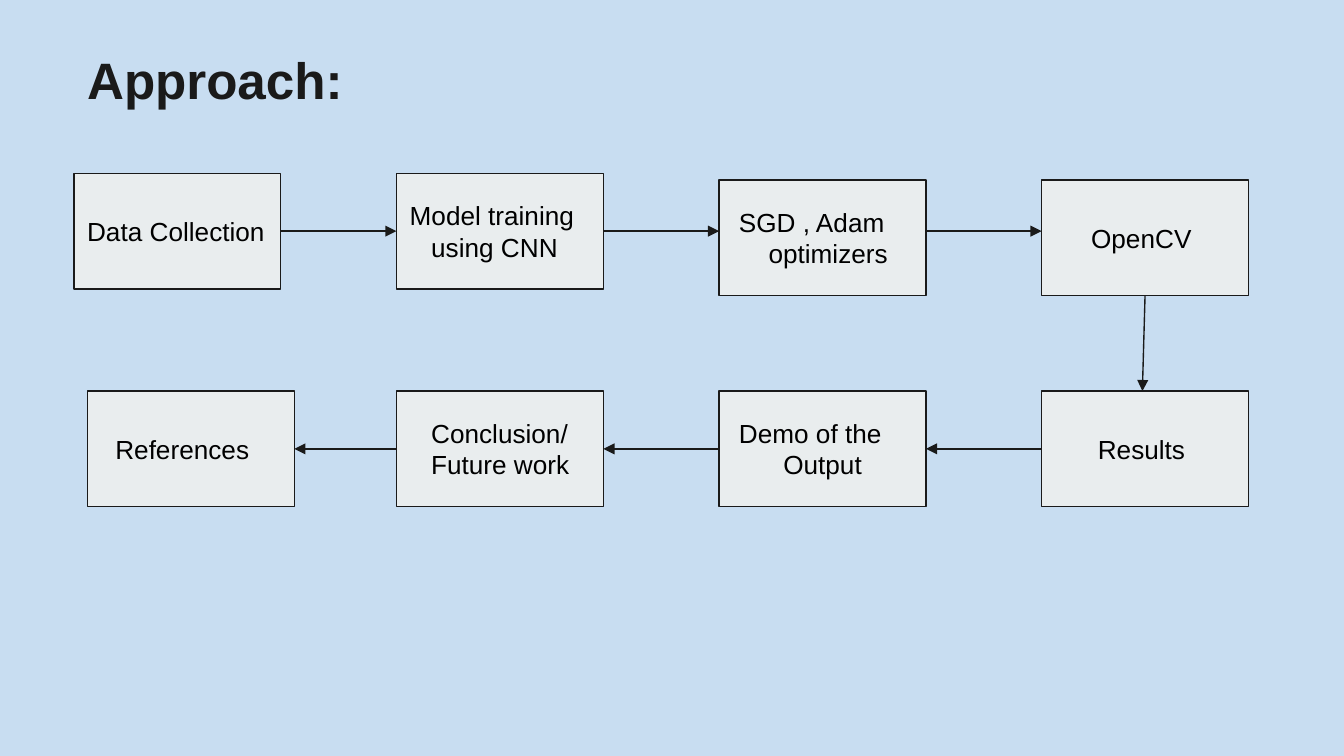
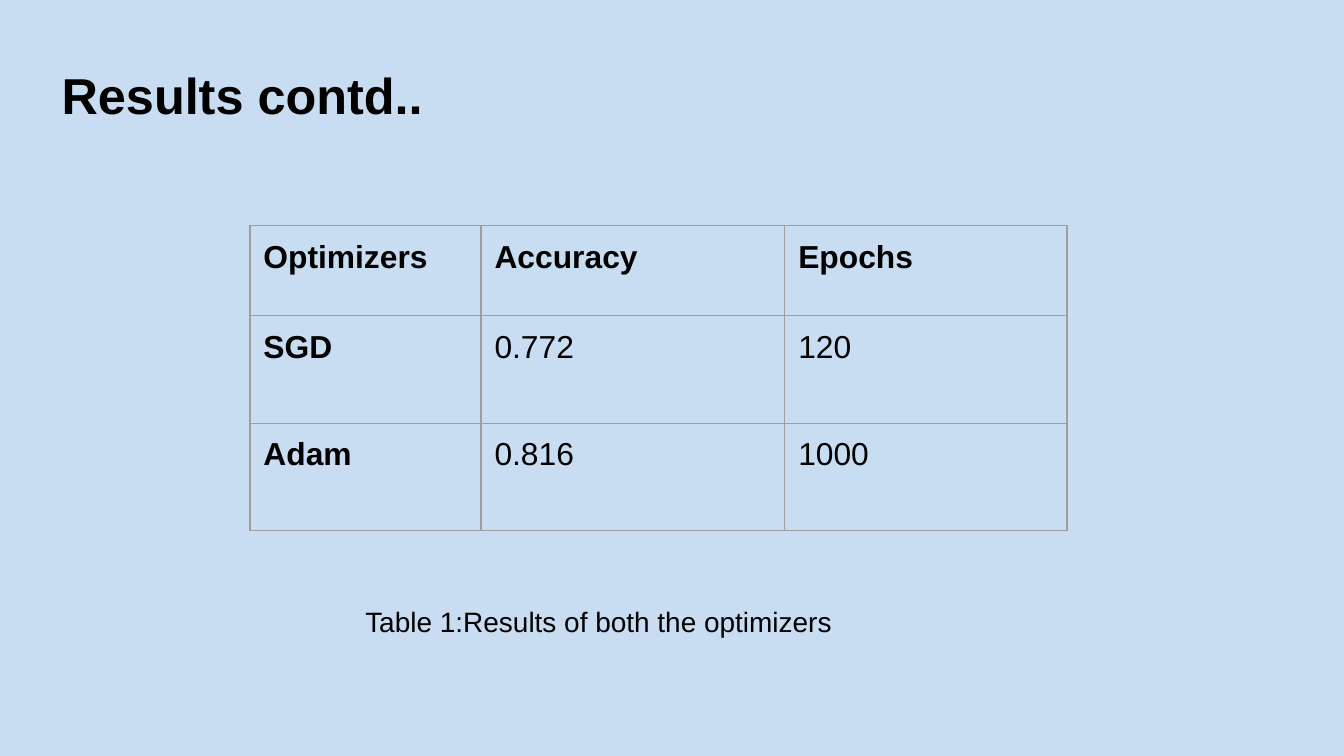
"""Build the approach flow chart and the optimizer results table."""
from dataclasses import dataclass

from lxml import etree
from pptx import Presentation
from pptx.dml.color import RGBColor
from pptx.enum import shapes, text
from pptx.oxml import ns
from pptx.util import Inches, Pt


@dataclass(frozen=True)
class Theme:
    font: str = "Arial"
    background: str = "C8DDF1"
    box: str = "E9EDEE"
    ink: str = "1A1A1A"
    black: str = "000000"
    border: str = "9E9E9E"
    line: float = 0.75
    step_size: float = 14
    table_size: float = 17
    caption_size: float = 15
    inset: float = 0.1


THEME = Theme()

APPROACH = {"title": "Approach:", "at": (0.55, 0.34, 8.42, 0.5), "size": 27.4, "color": THEME.ink}
RESULTS = {"title": "Results contd..", "at": (0.36, 0.28, 8.42, 0.85), "size": 27, "color": THEME.black}

STEP_W, STEP_H = 1.54, 0.86
TOP_STEPS = [
    (0.55, 1.29, [("Data Collection", 0)]),
    (2.95, 1.29, [("Model training", 0), ("using CNN", 0.16)]),
    (5.35, 1.34, [("SGD , Adam", 0.05), ("optimizers", 0.27)]),
    (7.75, 1.34, [("OpenCV", 0.27)]),
]
BOTTOM_STEPS = [
    (7.75, 2.91, [("Results", 0.32)]),
    (5.35, 2.91, [("Demo of the", 0.05), ("Output", 0.38)]),
    (2.95, 2.91, [("Conclusion/", 0.16), ("Future work", 0.16)]),
    (0.65, 2.91, [("References", 0.11)]),
]
TURN = ((8.52, 2.2), (8.5, 2.91))

TABLE_AT = (1.86, 1.68)
COL_WIDTHS = [1.72, 2.26, 2.1]
ROW_HEIGHTS = [0.67, 0.8, 0.8]
ROWS = [
    ("Optimizers", "Accuracy", "Epochs"),
    ("SGD", "0.772", "120"),
    ("Adam", "0.816", "1000"),
]
CAPTION = "Table 1:Results of both the optimizers"
CAPTION_AT = (0.91, 4.24, 8.3, 0.77)
CAPTION_INDENT = 1.71


def rgb(color):
    return RGBColor.from_string(color)


def inches(values):
    return [Inches(v) for v in values]


def set_margins(target):
    for side in ("left", "right", "top", "bottom"):
        setattr(target, f"margin_{side}", Inches(THEME.inset))


def style_paragraph(p, size, color=THEME.black, bold=False):
    p.alignment = text.PP_ALIGN.LEFT
    p.font.name = THEME.font
    p.font.size = Pt(size)
    p.font.bold = bold
    p.font.color.rgb = rgb(color)


def fill_frame(tf, lines, size, color=THEME.black, bold=False):
    tf.word_wrap = True
    tf.vertical_anchor = text.MSO_ANCHOR.MIDDLE
    set_margins(tf)
    for i, (line, indent) in enumerate(lines):
        p = tf.add_paragraph() if i else tf.paragraphs[0]
        p.text = line
        style_paragraph(p, size, color, bold)
        p._p.get_or_add_pPr().set("marL", str(Inches(indent)))


def add_text(s, at, lines, size, **style):
    fill_frame(s.shapes.add_textbox(*inches(at)).text_frame, lines, size, **style)


def add_titled_slide(prs, head):
    s = prs.slides.add_slide(prs.slide_layouts[6])
    s.background.fill.solid()
    s.background.fill.fore_color.rgb = rgb(THEME.background)
    add_text(s, head["at"], [(head["title"], 0)], head["size"], color=head["color"], bold=True)
    return s


def add_step(s, left, top, lines):
    sp = s.shapes.add_shape(shapes.MSO_SHAPE.RECTANGLE, *inches((left, top, STEP_W, STEP_H)))
    sp.shadow.inherit = False
    sp.fill.solid()
    sp.fill.fore_color.rgb = rgb(THEME.box)
    sp.line.color.rgb = rgb(THEME.ink)
    sp.line.width = Pt(THEME.line)
    fill_frame(sp.text_frame, lines, THEME.step_size)


def add_arrow(s, start, end):
    arrow = s.shapes.add_connector(shapes.MSO_CONNECTOR.STRAIGHT, *inches(start + end))
    arrow.line.color.rgb = rgb(THEME.ink)
    arrow.line.width = Pt(THEME.line)
    etree.SubElement(arrow.line._get_or_add_ln(), ns.qn("a:tailEnd"), type="triangle")
    etree.SubElement(arrow._element.spPr, ns.qn("a:effectLst"))


def add_row_arrows(s, steps):
    y = steps[0][1] + STEP_H / 2
    for (a, *_), (b, *_) in zip(steps, steps[1:]):
        start, end = (a + STEP_W, b) if a < b else (a, b + STEP_W)
        add_arrow(s, (start, y), (end, y))


def add_borders(cell):
    tc_pr = cell._tc.get_or_add_tcPr()
    for side in ("lnL", "lnR", "lnT", "lnB"):
        ln = etree.SubElement(tc_pr, ns.qn(f"a:{side}"), w=str(Pt(THEME.line)))
        fill = etree.SubElement(ln, ns.qn("a:solidFill"))
        etree.SubElement(fill, ns.qn("a:srgbClr"), val=THEME.border)


def add_results_table(s):
    size = (sum(COL_WIDTHS), sum(ROW_HEIGHTS))
    table = s.shapes.add_table(len(ROWS), len(COL_WIDTHS), *inches(TABLE_AT + size)).table
    table.first_row = table.horz_banding = False
    for col, width in zip(table.columns, COL_WIDTHS):
        col.width = Inches(width)
    for r, (row, height) in enumerate(zip(ROWS, ROW_HEIGHTS)):
        table.rows[r].height = Inches(height)
        for c, value in enumerate(row):
            cell = table.cell(r, c)
            cell.text = value
            set_margins(cell)
            add_borders(cell)
            cell.fill.background()
            style_paragraph(cell.text_frame.paragraphs[0], THEME.table_size, bold=r == 0 or c == 0)


def build_approach(prs):
    s = add_titled_slide(prs, APPROACH)
    for step in TOP_STEPS + BOTTOM_STEPS:
        add_step(s, *step)
    add_row_arrows(s, TOP_STEPS)
    add_arrow(s, *TURN)
    add_row_arrows(s, BOTTOM_STEPS)


def build_results(prs):
    s = add_titled_slide(prs, RESULTS)
    add_results_table(s)
    add_text(s, CAPTION_AT, [(CAPTION, CAPTION_INDENT)], THEME.caption_size)


def main():
    prs = Presentation()
    prs.slide_width = Inches(10)
    prs.slide_height = prs.slide_width * 9 // 16
    build_approach(prs)
    build_results(prs)
    prs.save("out.pptx")


if __name__ == "__main__":
    main()
